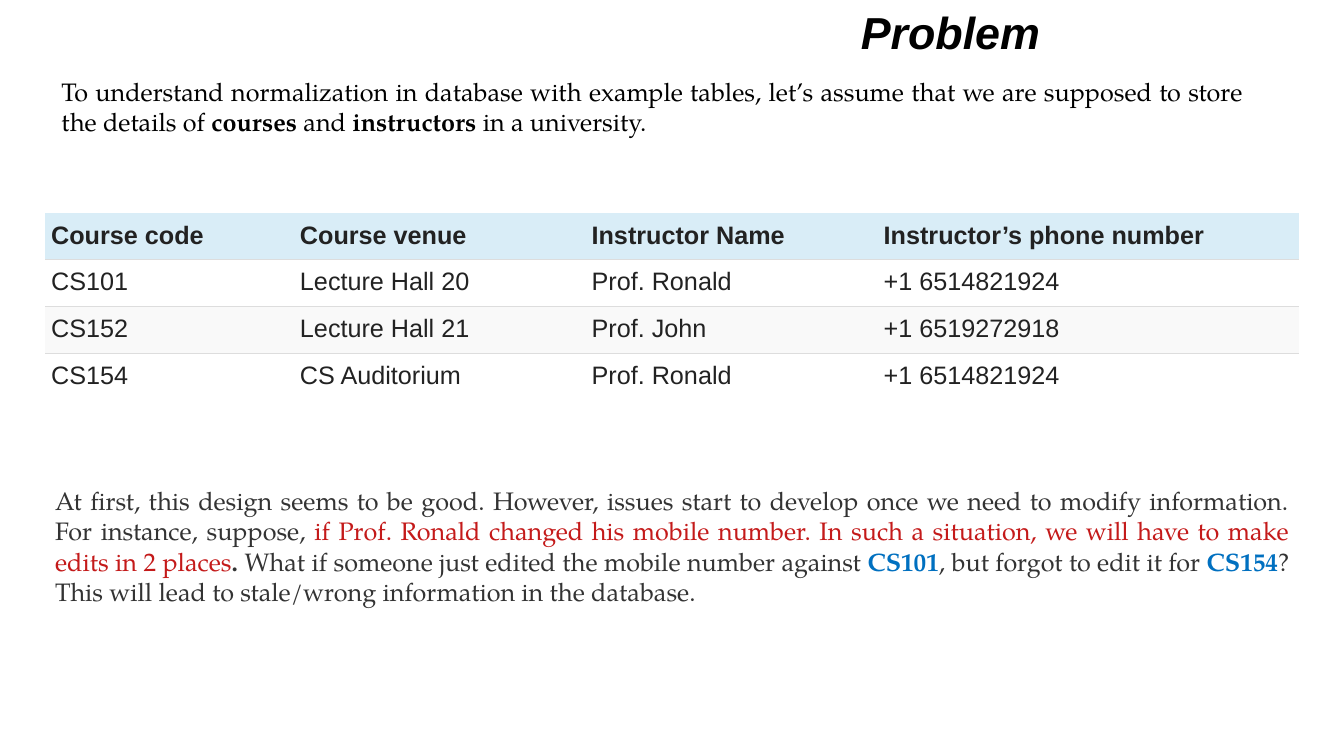
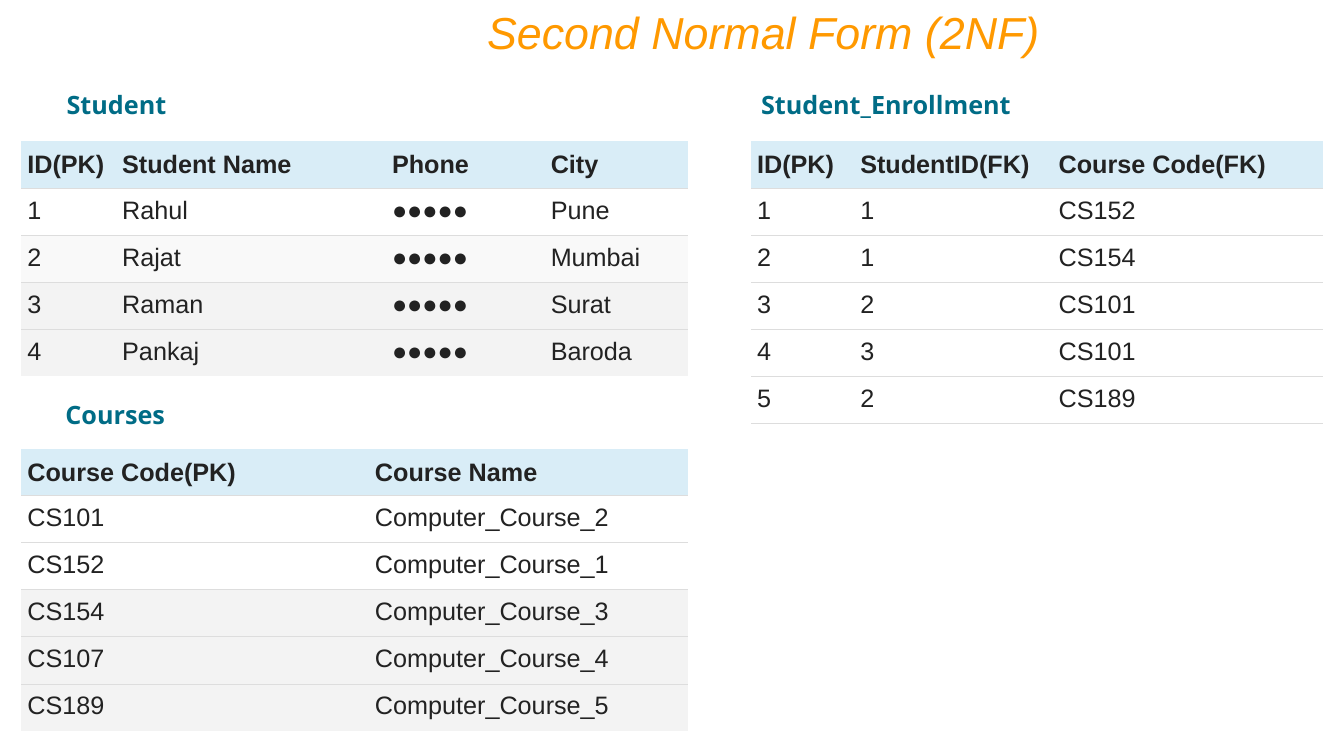
import pptx
import pptx.dml.color
import pptx.enum.text
import pptx.oxml
import pptx.oxml.ns
import pptx.util

Cm = pptx.util.Cm
ALIGN = pptx.enum.text.PP_ALIGN
ANCHOR = pptx.enum.text.MSO_ANCHOR

# Shared look
SANS, SERIF, LABEL = "Arial", "TeX Gyre Pagella", "Open Sans"
BLACK, DARK, INK = "000000", "333333", "222222"
RED, BLUE, TEAL, ORANGE = "C41A1A", "0070C0", "006C86", "FF9900"
HEAD, WHITE, PALE, GREY = "D9EDF7", "FFFFFF", "F9F9F9", "F3F3F3"
ROW_H = Cm(4.74) // 4
NO_STYLE = "{2D5ABB26-0587-4C30-8999-92F81FD0307C}"
RULE = (f'<a:lnB {pptx.oxml.ns.nsdecls("a")} w="9525"><a:solidFill>'
        '<a:srgbClr val="DDDDDD"/></a:solidFill></a:lnB>')


def rgb(color):
    return pptx.dml.color.RGBColor.from_string(color)


def add_run(p, text, font=SANS, size=18, color=INK, bold=False, italic=False):
    r = p.add_run()
    r.text = text
    r.font.name = font
    r.font.size = pptx.util.Pt(size)
    r.font.color.rgb = rgb(color)
    r.font.bold = bold
    r.font.italic = italic


prs = pptx.Presentation()
prs.slide_width, prs.slide_height = Cm(33.87), Cm(19.05)

# Titles: text, fill, format
titles = [
    ("Problem", WHITE, dict(color=BLACK, bold=True)),
    ("Second Normal Form (2NF)", None, dict(color=ORANGE)),
]
for text, fill, fmt in titles:
    s = prs.slides.add_slide(prs.slide_layouts[5])
    sp = s.shapes.title
    sp.left, sp.top, sp.width, sp.height = Cm(7.42), Cm(0), Cm(19.05), Cm(1.63)
    if fill:
        sp.fill.solid()
        sp.fill.fore_color.rgb = rgb(fill)
    tf = sp.text_frame
    tf.auto_size = pptx.enum.text.MSO_AUTO_SIZE.NONE
    tf.vertical_anchor = ANCHOR.TOP
    p = tf.paragraphs[0]
    p.alignment = ALIGN.RIGHT
    add_run(p, text, size=32, italic=True, **fmt)
problem, second_form = prs.slides

# Paragraphs and table names: slide, box in cm, alignment, shared format, runs
body = dict(font=SERIF, color=BLACK)
remark = dict(font=SERIF, color=DARK)
label = dict(font=LABEL, color=TEAL, bold=True)
strong = dict(bold=True)
code = dict(color=BLUE, bold=True)
texts = [
    (problem, (1.3, 1.79, 30.28, 1.8), ALIGN.JUSTIFY, body, [
        ("To understand normalization in database with example tables, let’s "
         "assume that we are supposed to store the details of ", {}),
        ("courses", strong),
        (" and ", {}),
        ("instructors", strong),
        (" in a university.", {})]),
    (problem, (1.14, 12.11, 31.6, 3.33), ALIGN.JUSTIFY, remark, [
        ("At first, this design seems to be good. However, issues start to "
         "develop once we need to modify information. For instance, suppose, ", {}),
        ("if Prof. Ronald changed his mobile number. In such a situation, we "
         "will have to make edits in 2 places", dict(color=RED)),
        (". ", strong),
        ("What if someone just edited the mobile number against ", {}),
        ("CS101", code),
        (", but forgot to edit it for ", {}),
        ("CS154", code),
        ("? This will lead to stale/wrong information in the database.", {})]),
    (second_form, (1.43, 2.13, 8.1, 1.02), ALIGN.LEFT, label, [("Student", {})]),
    (second_form, (1.4, 9.93, 8.36, 1.02), ALIGN.LEFT, label, [("Courses", {})]),
    (second_form, (18.93, 2.13, 8.36, 1.02), ALIGN.LEFT, label,
     [("Student_Enrollment", {})]),
]
for s, box, align, base, runs in texts:
    tf = s.shapes.add_textbox(*map(Cm, box)).text_frame
    tf.word_wrap = True
    p = tf.paragraphs[0]
    p.alignment = align
    for text, fmt in runs:
        add_run(p, text, **{**base, **fmt})

# Tables: slide, left, top, column widths in cm, row fills, closing rule, rows
dots = "●●●●●"
tables = [
    (problem, 1.14, 5.36, (6.27, 7.35, 7.36, 10.61),
     (HEAD, WHITE, PALE, WHITE), False, [
        ("Course code", "Course venue", "Instructor Name", "Instructor’s phone number"),
        ("CS101", "Lecture Hall 20", "Prof. Ronald", "+1 6514821924"),
        ("CS152", "Lecture Hall 21", "Prof. John", "+1 6519272918"),
        ("CS154", "CS Auditorium", "Prof. Ronald", "+1 6514821924")]),
    (second_form, 0.54, 3.56, (2.39, 6.8, 4, 3.6),
     (HEAD, WHITE, PALE, GREY, GREY), False, [
        ("ID(PK)", "Student Name", "Phone", "City"),
        ("1", "Rahul", dots, "Pune"),
        ("2", "Rajat", dots, "Mumbai"),
        ("3", "Raman", dots, "Surat"),
        ("4", "Pankaj", dots, "Baroda")]),
    (second_form, 0.54, 11.31, (8.76, 8.03),
     (HEAD, WHITE, WHITE, GREY, GREY, GREY), False, [
        ("Course Code(PK)", "Course Name"),
        ("CS101", "Computer_Course_2"),
        ("CS152", "Computer_Course_1"),
        ("CS154", "Computer_Course_3"),
        ("CS107", "Computer_Course_4"),
        ("CS189", "Computer_Course_5")]),
    (second_form, 18.93, 3.56, (2.6, 5, 6.8),
     (HEAD,) + (WHITE,) * 5, True, [
        ("ID(PK)", "StudentID(FK)", "Course Code(FK)"),
        ("1", "1", "CS152"),
        ("2", "1", "CS154"),
        ("3", "2", "CS101"),
        ("4", "3", "CS101"),
        ("5", "2", "CS189")]),
]
for s, left, top, widths, fills, closed, rows in tables:
    sp = s.shapes.add_table(len(rows), len(widths), Cm(left), Cm(top),
                            Cm(sum(widths)), ROW_H * len(rows))
    table = sp.table
    table.first_row = table.horz_banding = False
    for style in sp.element.iter(pptx.oxml.ns.qn("a:tableStyleId")):
        style.text = NO_STYLE
    for column, width in zip(table.columns, widths):
        column.width = Cm(width)
    for i, (row, fill, values) in enumerate(zip(table.rows, fills, rows)):
        row.height = ROW_H
        for cell, text in zip(row.cells, values):
            cell.margin_left = cell.margin_right = Cm(0.15)
            cell.margin_top = cell.margin_bottom = Cm(0.2)
            cell.vertical_anchor = ANCHOR.TOP if i else ANCHOR.MIDDLE
            cell.fill.solid()
            cell.fill.fore_color.rgb = rgb(fill)
            if closed or i < len(rows) - 1:
                cell._tc.get_or_add_tcPr().insert(0, pptx.oxml.parse_xml(RULE))
            add_run(cell.text_frame.paragraphs[0], text, bold=i == 0)

prs.save("out.pptx")
